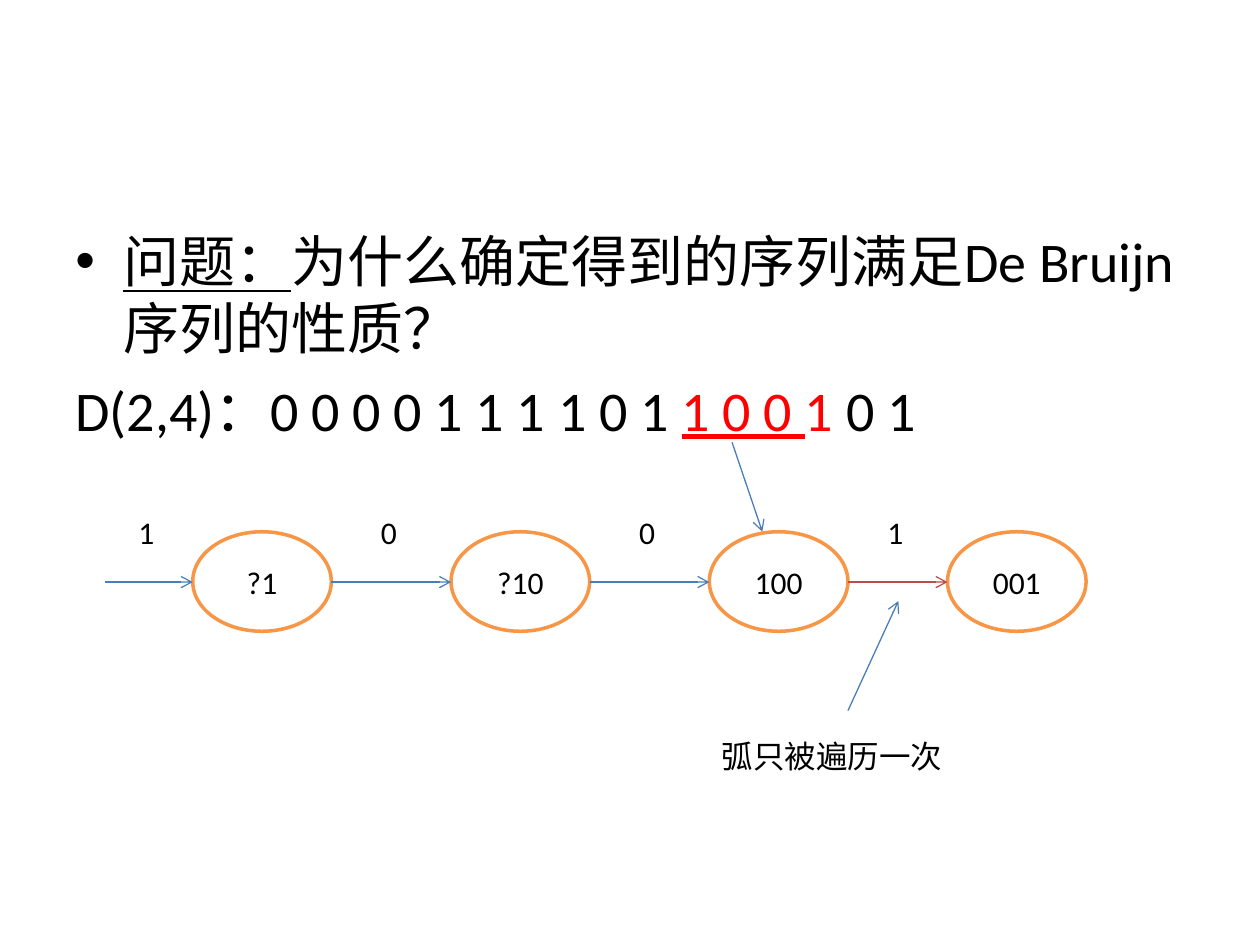
from lxml import etree
from pptx import Presentation
from pptx import util as u
from pptx.dml.color import RGBColor
from pptx.enum import shapes, text
from pptx.oxml.ns import qn

# Content
BODY = [
    {"bullet": True, "runs": [
        ("问题：", "ink", True),
        ("为什么确定得到的序列满足De Bruijn序列的性质？", "ink", False)]},
    {"bullet": False, "runs": [
        ("D(2,4)：0 0 0 0 1 1 1 1 0 1 ", "ink", False),
        ("1 0 0 ", "accent", True),
        ("1 ", "accent", False),
        ("0 1", "ink", False)]},
]
# state, left edge of its ellipse, label and colour of the arc leading into it
STATES = [
    ("?1", 1.53, "1", "arrow"),
    ("?10", 3.58, "0", "arrow"),
    ("100", 5.63, "0", "arrow"),
    ("001", 7.52, "1", "marked"),
]
POINTERS = [((5.81, 3.51), (6.05, 4.22)), ((6.73, 5.64), (7.13, 4.77))]
NOTE = ("弧只被遍历一次", (5.63, 5.8, 2.05, 0.4))

THEME = {
    "font": "Calibri", "body": 32, "small": 18,
    "ink": "000000", "accent": "FF0000", "paper": "FFFFFF",
    "ring": "F79646", "arrow": "4A7EBB", "marked": "BE4B48",
}
NODE_TOP, NODE_W, NODE_H = 4.22, 1.1, 0.79
ARC_START, ARC_Y = 0.83, 4.62
LABEL_TOP, LABEL_W, LABEL_H = 4.02, 0.36, 0.4
INDENT = 0.38


def rgb(name):
    return RGBColor.from_string(THEME[name])


def box_of(at):
    return [u.Inches(v) for v in at]


def add_run(p, words, size, color="ink", underline=False):
    r = p.add_run()
    r.text = words
    fmt = {"name": THEME["font"], "size": u.Pt(THEME[size]), "underline": underline}
    for key, value in fmt.items():
        setattr(r.font, key, value)
    r.font.color.rgb = rgb(color)


def add_text(s, words, at):
    tf = s.shapes.add_textbox(*box_of(at)).text_frame
    tf.word_wrap = True
    add_run(tf.paragraphs[0], words, "small")


def add_arrow(s, start, end, color="arrow"):
    c = s.shapes.add_connector(shapes.MSO_CONNECTOR.STRAIGHT, *box_of(start + end))
    c.line.color.rgb = rgb(color)
    c.line.width = u.Pt(0.75)
    etree.SubElement(c.line._get_or_add_ln(), qn("a:tailEnd"), type="arrow")
    etree.SubElement(c._element.spPr, qn("a:effectLst"))


def add_node(s, words, left):
    sp = s.shapes.add_shape(shapes.MSO_SHAPE.OVAL,
                            *box_of((left, NODE_TOP, NODE_W, NODE_H)))
    sp.shadow.inherit = False
    sp.fill.solid()
    sp.fill.fore_color.rgb = rgb("paper")
    sp.line.color.rgb = rgb("ring")
    sp.line.width = u.Pt(2)
    tf = sp.text_frame
    tf.vertical_anchor = text.MSO_ANCHOR.MIDDLE
    p = tf.paragraphs[0]
    p.alignment = text.PP_ALIGN.CENTER
    add_run(p, words, "small")


def add_body(s):
    tf = s.shapes.add_textbox(*box_of((0.5, 1.75, 9, 4.95))).text_frame
    tf.word_wrap = True
    for i, item in enumerate(BODY):
        p = tf.add_paragraph() if i else tf.paragraphs[0]
        if i:
            p.space_before = u.Pt(8)
        pPr = p._p.get_or_add_pPr()
        pPr.set("marL", str(u.Inches(INDENT)))
        pPr.set("indent", str(u.Inches(-INDENT)))
        if item["bullet"]:
            etree.SubElement(pPr, qn("a:buFont"), typeface="Arial")
            etree.SubElement(pPr, qn("a:buChar"), char="•")
        else:
            etree.SubElement(pPr, qn("a:buNone"))
        for words, color, underline in item["runs"]:
            add_run(p, words, "body", color, underline)


def main():
    prs = Presentation()
    prs.slide_width, prs.slide_height = u.Inches(10), u.Inches(7.5)
    s = prs.slides.add_slide(prs.slide_layouts[6])

    # Question and sequence
    add_body(s)

    # Chain of states, each arc label centred over its arc
    start = ARC_START
    for state, left, label, color in STATES:
        add_node(s, state, left)
        add_arrow(s, (start, ARC_Y), (left, ARC_Y), color)
        middle = (start + left) / 2
        add_text(s, label, (middle - LABEL_W / 2, LABEL_TOP, LABEL_W, LABEL_H))
        start = left + NODE_W

    # Pointers and note
    for tail, tip in POINTERS:
        add_arrow(s, tail, tip)
    add_text(s, *NOTE)

    prs.save("out.pptx")


if __name__ == "__main__":
    main()
